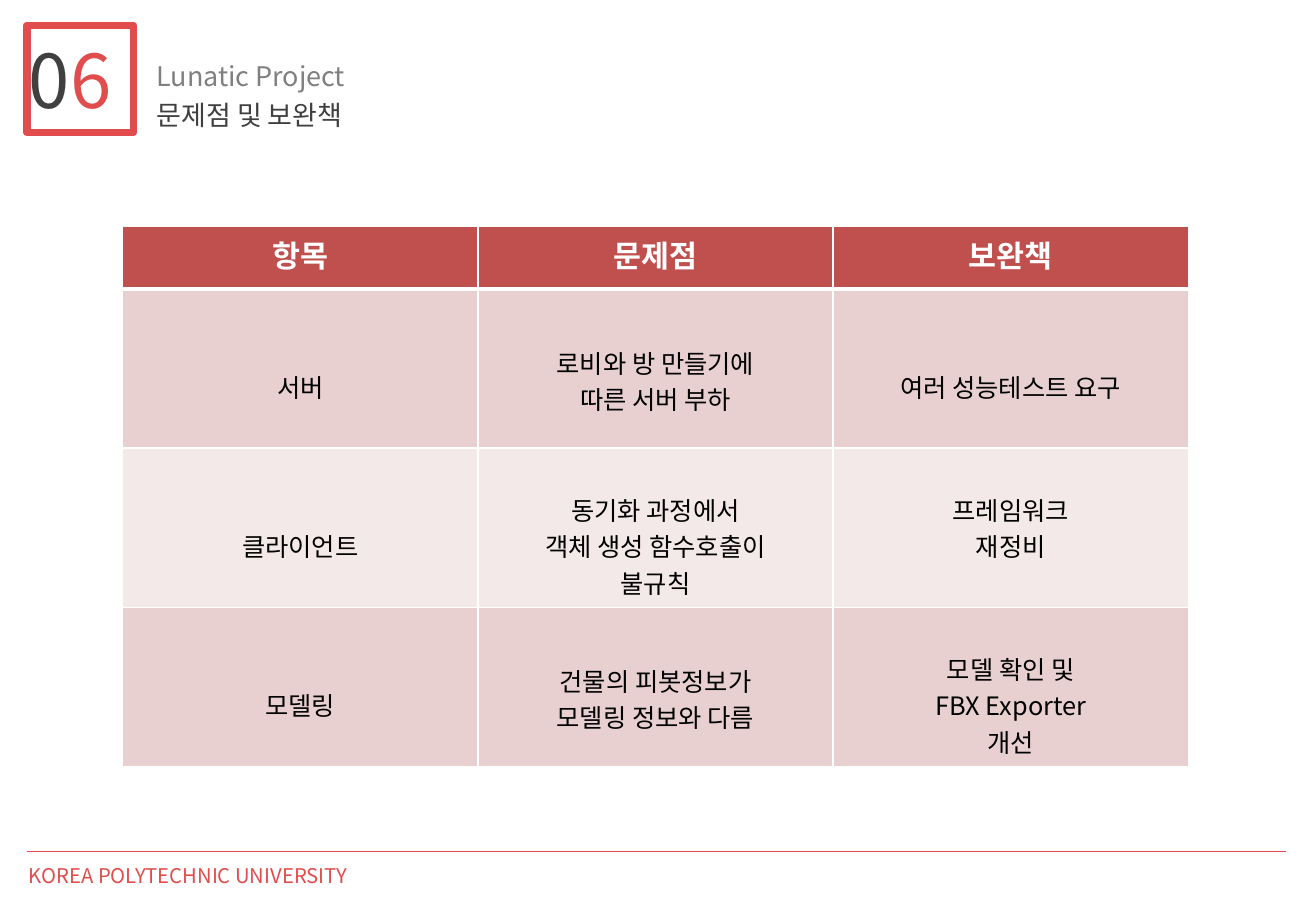
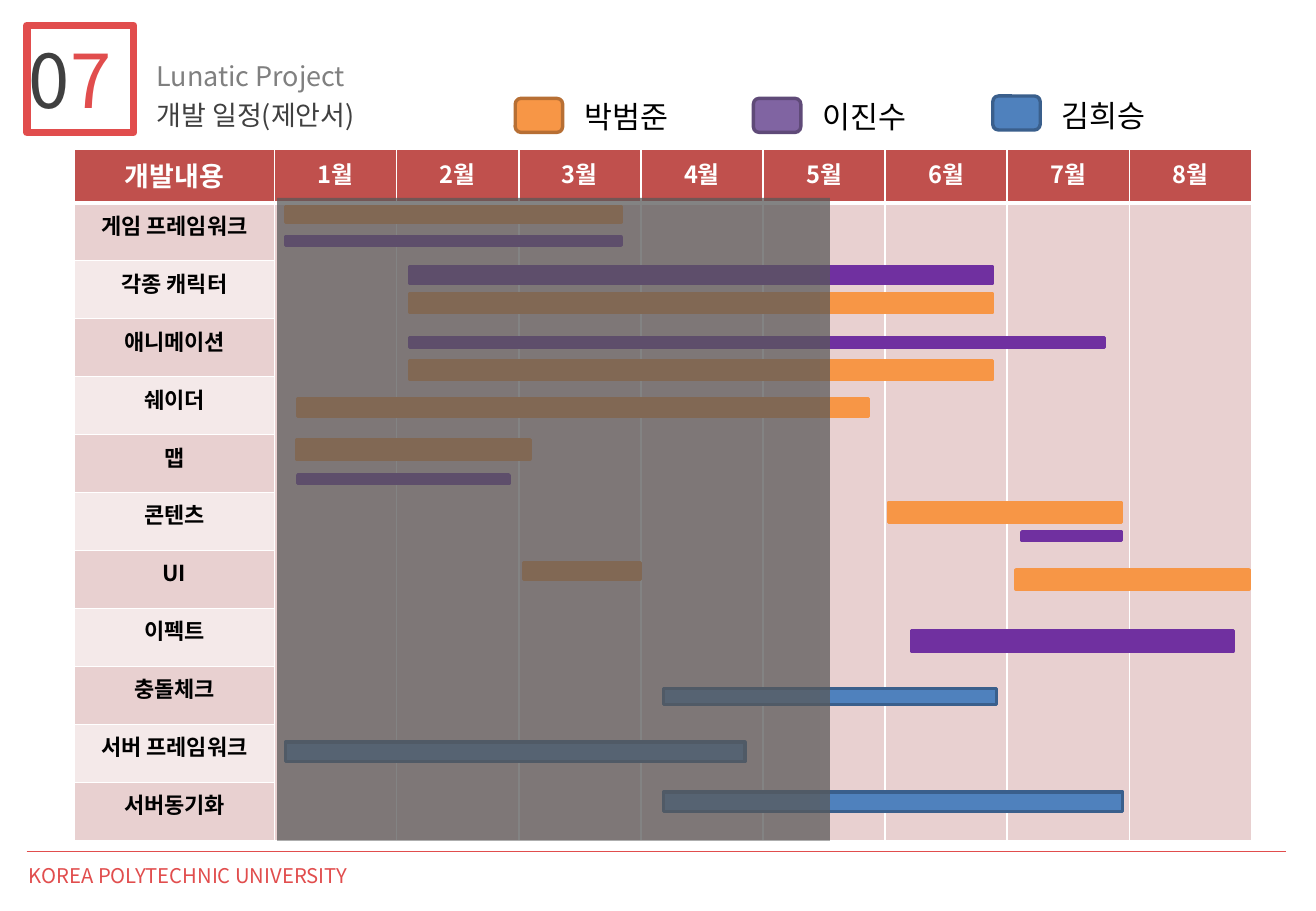
"""Build two project slides: a table of issues and a development schedule."""
import pptx
import pptx.dml.color
import pptx.enum.shapes
import pptx.enum.text
import pptx.oxml
import pptx.oxml.ns
import pptx.util

FONT = "Noto Sans CJK KR"
RED, DARK, GRAY = "E14D4D", "404040", "808080"
BLACK, WHITE, SHADE = "000000", "FFFFFF", "595959"
HEAD, BANDS = "C0504D", ("E8D0D0", "F4E9E9")
ORANGE, PURPLE, BLUE = "F79646", "7030A0", "4F81BD"
LILAC, NAVY = "8064A2", "3A5F8C"
KIND = pptx.enum.shapes.MSO_SHAPE
ALIGN = pptx.enum.text.PP_ALIGN
TOP = pptx.enum.text.MSO_ANCHOR.TOP

ISSUES = [
    ["항목", "문제점", "보완책"],
    ["서버", "로비와 방 만들기에\n따른 서버 부하", "여러 성능테스트 요구"],
    ["클라이언트", "동기화 과정에서\n객체 생성 함수호출이\n불규칙", "프레임워크\n재정비"],
    ["모델링", "건물의 피봇정보가\n모델링 정보와 다름", "모델 확인 및\nFBX Exporter\n개선"],
]
INSETS = [[65, 45, 65], [65, 35, 35], [65, 45, 35]]
TASKS = ["게임 프레임워크", "각종 캐릭터", "애니메이션", "쉐이더", "맵", "콘텐츠",
         "UI", "이펙트", "충돌체크", "서버 프레임워크", "서버동기화"]
PEOPLE = [
    ("박범준", 424, 81, 76, ORANGE, "B76F34"),
    ("이진수", 620, 81, 76, LILAC, "5F4A78"),
    ("김희승", 817, 79, 75, BLUE, NAVY),
]
BARS = [
    (BLUE, NAVY, [(235, 611, 378, 16), (546, 652, 378, 16), (546, 567, 274, 13)]),
    (PURPLE, PURPLE, [(235, 195, 276, 7), (337, 220, 480, 13), (337, 278, 572, 8),
                      (750, 519, 265, 17), (245, 391, 174, 7), (841, 438, 82, 7)]),
    (ORANGE, ORANGE, [(431, 463, 96, 14), (731, 414, 192, 16), (244, 362, 192, 16),
                      (245, 328, 470, 15), (836, 469, 192, 16), (337, 242, 480, 15),
                      (337, 297, 480, 15), (235, 170, 276, 13)]),
]


def px(size):
    return int(size * 9144)


def tint(color):
    return pptx.dml.color.RGBColor.from_string(color)


def style(frame, size, color, bold=False, align=ALIGN.LEFT):
    for para in frame.paragraphs:
        para.alignment = align
        for run in para.runs:
            font = run.font
            font.name, font.size, font.bold = FONT, pptx.util.Pt(size), bold
            font.color.rgb = tint(color)
            east = pptx.oxml.parse_xml(
                f'<a:ea {pptx.oxml.ns.nsdecls("a")} typeface="{FONT}"/>')
            font._element.find(pptx.oxml.ns.qn("a:latin")).addnext(east)


def label(slide, box, text, size, color):
    frame = slide.shapes.add_textbox(*map(px, box)).text_frame
    frame.word_wrap = True
    frame.text = text
    style(frame, size, color)


def shape(slide, kind, box, fill=None, line=None, width=2):
    item = slide.shapes.add_shape(kind, *map(px, box))
    item.shadow.inherit = False
    if fill:
        item.fill.solid()
        item.fill.fore_color.rgb = tint(fill)
    else:
        item.fill.background()
    if line:
        item.line.color.rgb = tint(line)
        item.line.width = pptx.util.Pt(width)
    else:
        item.line.fill.background()
    return item


def rule(slide, left, right, top):
    line = slide.shapes.add_connector(
        pptx.enum.shapes.MSO_CONNECTOR.STRAIGHT, px(left), px(top), px(right), px(top))
    line.line.color.rgb = tint(RED)
    line.line.width = pptx.util.Pt(1)
    line._element.spPr.append(
        pptx.oxml.parse_xml(f'<a:effectLst {pptx.oxml.ns.nsdecls("a")}/>'))


def number(slide, digit):
    shape(slide, KIND.RECTANGLE, (22, 21, 88, 88), line=RED, width=4.5)
    frame = slide.shapes.add_textbox(*map(px, (14, 23, 102, 84))).text_frame
    frame.text = "0"
    run = frame.paragraphs[0].add_run()
    run.text = digit
    style(frame, 44, DARK)
    run.font.color.rgb = tint(RED)


def page(deck, digit, text):
    slide = deck.slides.add_slide(deck.slide_layouts[5])
    title = slide.shapes.title
    title.left, title.top, title.width, title.height = map(px, (119, 76, 250, 37))
    frame = title.text_frame
    frame.text = text
    frame.vertical_anchor = TOP
    frame.auto_size = pptx.enum.text.MSO_AUTO_SIZE.NONE
    style(frame, 16, DARK)
    number(slide, digit)
    label(slide, (119, 44, 207, 37), "Lunatic Project", 16, GRAY)
    rule(slide, 22, 1058, 701)
    label(slide, (14, 706, 370, 30), "KOREA POLYTECHNIC UNIVERSITY", 12, RED)
    return slide


def edge(cell, row):
    sides = {"lnL": 1, "lnR": 1, "lnT": 3 if row == 1 else 1, "lnB": 3 if row == 0 else 1}
    for spot, (tag, width) in enumerate(sides.items()):
        cell._tc.get_or_add_tcPr().insert(spot, pptx.oxml.parse_xml(
            f'<a:{tag} {pptx.oxml.ns.nsdecls("a")} w="{width * 12700}">'
            f'<a:solidFill><a:srgbClr val="{WHITE}"/></a:solidFill></a:{tag}>'))


def grid(slide, box, rows, first, head):
    count, span = len(rows), len(rows[0])
    table = slide.shapes.add_table(count, span, *map(px, box)).table
    table.horz_banding = False
    for col in range(span):
        table.columns[col].width = px((box[2] - first) / (span - 1) if col else first)
    for row, texts in enumerate(rows):
        table.rows[row].height = px((box[3] - head) / (count - 1) if row else head)
        for col, text in enumerate(texts):
            cell = table.cell(row, col)
            cell.text_frame.text = text
            cell.fill.solid()
            shade = BANDS[(row - 1) % 2 if col == 0 or any(texts[1:]) else 0]
            cell.fill.fore_color.rgb = tint(shade if row else HEAD)
            edge(cell, row)
    return table


def issues(deck):
    slide = page(deck, "6", "문제점 및 보완책")
    table = grid(slide, (101, 186, 877, 445), ISSUES, 877 / 3, 52)
    for row, texts in enumerate(ISSUES):
        for col in range(len(texts)):
            cell = table.cell(row, col)
            if row:
                cell.margin_top = px(INSETS[row - 1][col])
                style(cell.text_frame, 15, BLACK, False, ALIGN.CENTER)
            else:
                style(cell.text_frame, 18, WHITE, True, ALIGN.CENTER)


def plan(deck):
    slide = page(deck, "7", "개발 일정(제안서)")
    months = [f"{month}월" for month in range(1, 9)]
    rows = [["개발내용"] + months] + [[task] + [""] * len(months) for task in TASKS]
    table = grid(slide, (61, 123, 969, 569), rows, 165, 44)
    for col in range(len(rows[0])):
        style(table.cell(0, col).text_frame, 14 if col else 16, WHITE, True, ALIGN.CENTER)
        if col:
            table.cell(1, col).merge(table.cell(len(TASKS), col))
    for row in range(1, len(rows)):
        style(table.cell(row, 0).text_frame, 13, BLACK, True, ALIGN.CENTER)
    for name, left, top, high, fill, line in PEOPLE:
        shape(slide, KIND.ROUNDED_RECTANGLE, (left, top, 39, 28), fill, line)
        label(slide, (left + 47, high, 96, 40), name, 18, BLACK)
    for fill, line, boxes in BARS:
        for box in boxes:
            shape(slide, KIND.FLOWCHART_PROCESS, box, fill, line)
    veil = shape(slide, KIND.RECTANGLE, (228, 163, 455, 529), SHADE)
    color = veil._element.spPr.find(".//" + pptx.oxml.ns.qn("a:srgbClr"))
    color.append(pptx.oxml.parse_xml(
        f'<a:alpha {pptx.oxml.ns.nsdecls("a")} val="74000"/>'))


def main():
    deck = pptx.Presentation()
    deck.slide_width, deck.slide_height = px(1083), px(750)
    issues(deck)
    plan(deck)
    deck.save("out.pptx")


if __name__ == "__main__":
    main()
